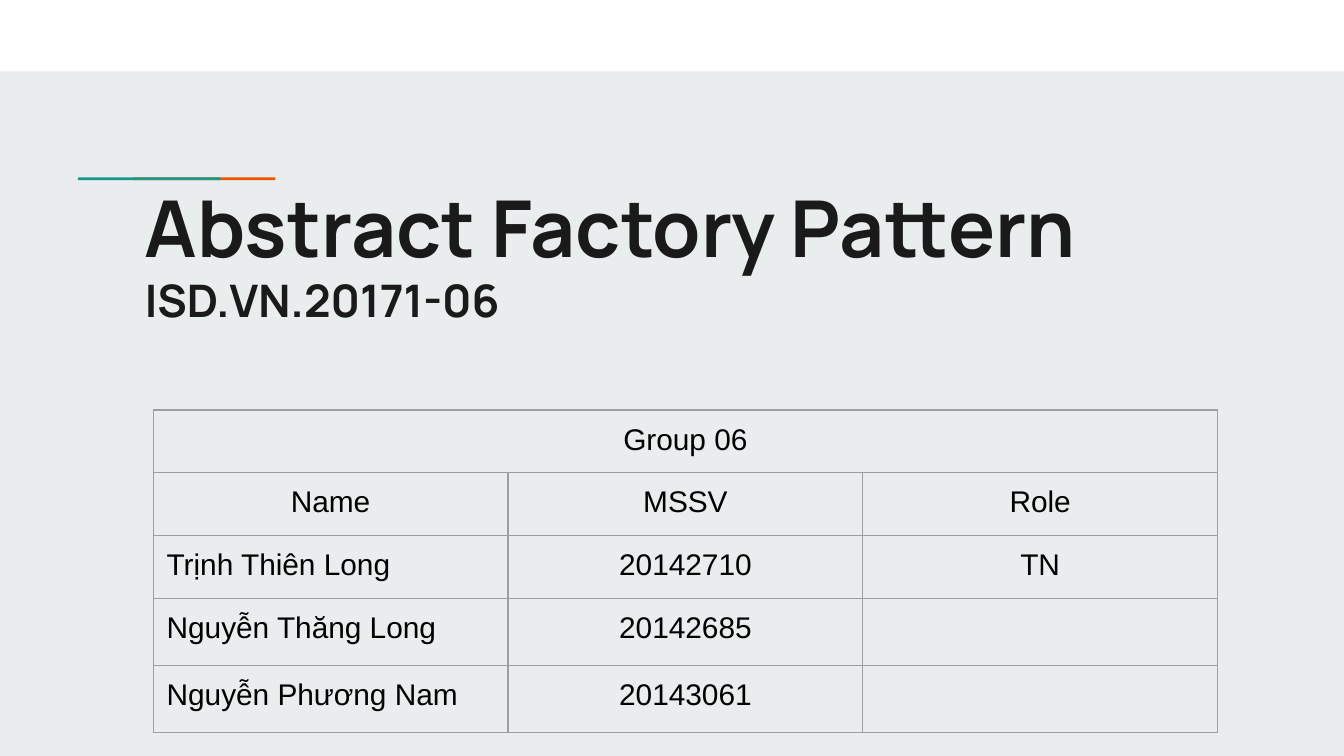
import pptx
import pptx.dml.color
import pptx.enum.shapes
import pptx.enum.text
import pptx.oxml.ns
import pptx.util
from lxml import etree
from pptx.util import Inches

RGBColor = pptx.dml.color.RGBColor
Alignment = pptx.enum.text.PP_ALIGN

WHITE = RGBColor(0xFF, 0xFF, 0xFF)
BLACK = RGBColor(0x00, 0x00, 0x00)
INK = RGBColor(0x1A, 0x1A, 0x1A)
PALE_GRAY = RGBColor(0xE9, 0xED, 0xEE)
BORDER_GRAY = RGBColor(0x9E, 0x9E, 0x9E)
ORANGE = RGBColor(0xEB, 0x56, 0x00)
TEAL = RGBColor(0x1A, 0x99, 0x88)
MARGIN = Inches(0.1)


def write_text(paragraph, text, size, font, color, bold=False, align=Alignment.LEFT):
    paragraph.alignment = align
    run = paragraph.add_run()
    run.text = text
    run.font.size = pptx.util.Pt(size)
    run.font.name = font
    run.font.bold = bold
    run.font.color.rgb = color


def add_cell_borders(cell):
    """Draw all four sides; must run before the cell gets its fill."""
    properties = cell._tc.get_or_add_tcPr()
    for side in ("lnL", "lnR", "lnT", "lnB"):
        line = etree.SubElement(properties, pptx.oxml.ns.qn(f"a:{side}"), w="9525")
        fill = etree.SubElement(line, pptx.oxml.ns.qn("a:solidFill"))
        etree.SubElement(fill, pptx.oxml.ns.qn("a:srgbClr"), val=str(BORDER_GRAY))


presentation = pptx.Presentation()
presentation.slide_width = Inches(10)
presentation.slide_height = Inches(10 * 9 / 16)
slide = presentation.slides.add_slide(presentation.slide_layouts[6])
slide.background.fill.solid()
slide.background.fill.fore_color.rgb = PALE_GRAY

# Top band and the two overlapping accent bars
for left, top, width, height, color in (
    (0, 0, 10, 0.53, WHITE),
    (0.99, 1.32, 1.06, 0.02, ORANGE),
    (0.58, 1.32, 1.06, 0.02, TEAL),
):
    shape = slide.shapes.add_shape(
        pptx.enum.shapes.MSO_SHAPE.RECTANGLE,
        Inches(left), Inches(top), Inches(width), Inches(height),
    )
    shape.shadow.inherit = False
    shape.fill.solid()
    shape.fill.fore_color.rgb = color
    shape.line.fill.background()

# Title
title = slide.shapes.add_textbox(Inches(0.98), Inches(1.23), Inches(8.41), Inches(1.82))
frame = title.text_frame
frame.word_wrap = True
frame.margin_left = frame.margin_right = frame.margin_top = frame.margin_bottom = MARGIN
write_text(frame.paragraphs[0], "Abstract Factory Pattern", size=42, font="Manrope",
           color=INK, bold=True)
write_text(frame.add_paragraph(), "ISD.VN.20171-06", size=24, font="Manrope",
           color=INK, bold=True)

# Group members; rows grow to fit their text
rows = [
    ("Group 06", "", ""),
    ("Name", "MSSV", "Role"),
    ("Trịnh Thiên Long", "20142710", "TN"),
    ("Nguyễn Thăng Long", "20142685", ""),
    ("Nguyễn Phương Nam", "20143061", ""),
]
row_height = Inches(0.42)
table = slide.shapes.add_table(
    len(rows), 3, Inches(1.14), Inches(3.05), Inches(7.92), row_height * len(rows)
).table
table.first_row = False
table.horz_banding = False
for column in table.columns:
    column.width = Inches(2.64)

for row_index, row in enumerate(rows):
    table.rows[row_index].height = row_height
    for column_index, text in enumerate(row):
        cell = table.cell(row_index, column_index)
        cell.margin_left = cell.margin_right = MARGIN
        cell.margin_top = cell.margin_bottom = MARGIN
        add_cell_borders(cell)
        cell.fill.background()
        paragraph = cell.text_frame.paragraphs[0]
        if text:
            is_member_name = column_index == 0 and row_index > 1
            write_text(paragraph, text, size=16, font="Arial", color=BLACK,
                       align=Alignment.LEFT if is_member_name else Alignment.CENTER)
        else:
            # An empty cell still takes the height of its end-of-paragraph font
            size = "1600" if row_index == 0 else "1800"
            ending = etree.SubElement(paragraph._p, pptx.oxml.ns.qn("a:endParaRPr"), sz=size)
            etree.SubElement(ending, pptx.oxml.ns.qn("a:latin"), typeface="Arial")
table.cell(0, 0).merge(table.cell(0, 2))

presentation.save("out.pptx")
